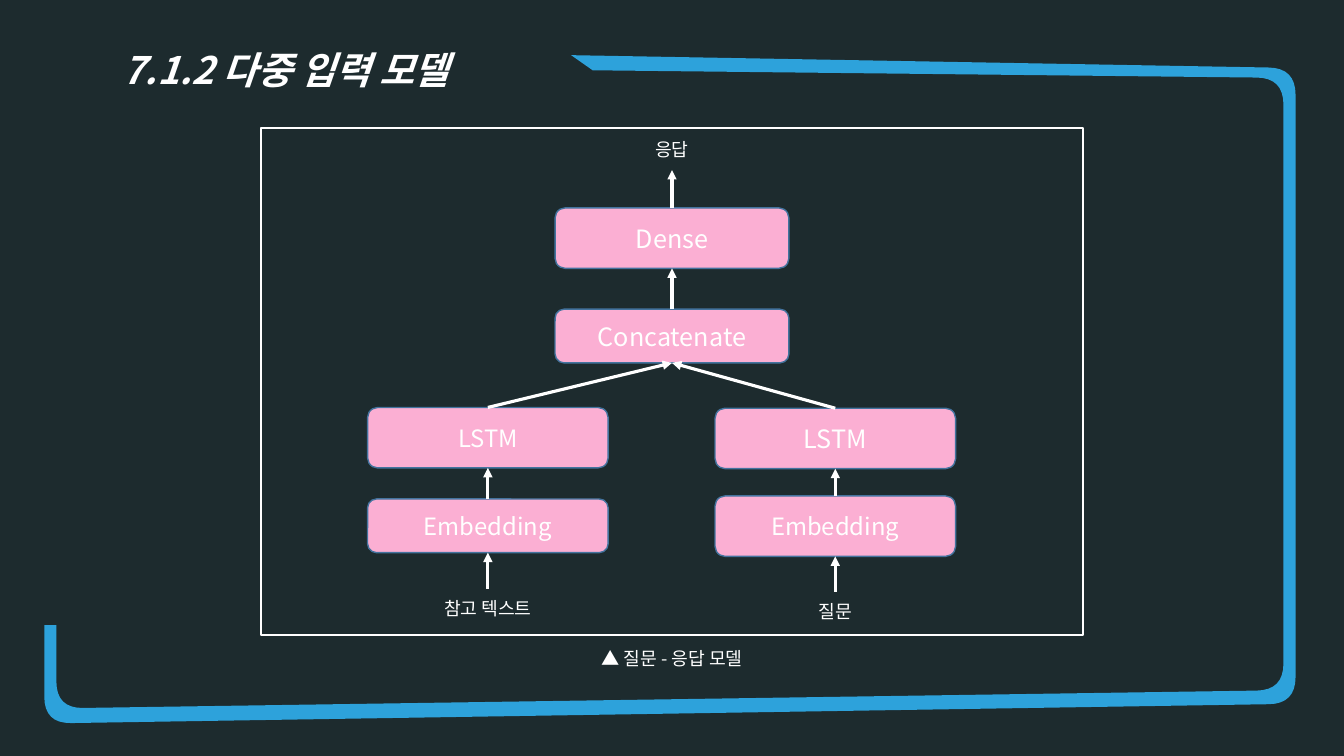
from pptx import Presentation, util as u
from pptx.dml.color import RGBColor
from pptx.enum import shapes, text
from pptx.oxml import parse_xml
from pptx.oxml.ns import nsdecls, qn

THEME = {
    "font": "Noto Sans CJK KR",
    "background": RGBColor.from_string("1D2B2E"),
    "border": RGBColor.from_string("2DA2DB"),
    "layer": RGBColor.from_string("FBAFD3"),
    "layer_line": RGBColor.from_string("43739E"),
    "white": RGBColor.from_string("FFFFFF"),
    "title": 27, "layer_large": 18, "layer_small": 17, "label": 13,
}

deck = Presentation()
deck.slide_width, deck.slide_height = u.Inches(13.33), u.Inches(7.5)
COL, ROW = deck.slide_width / 100, deck.slide_height / 100
slide = deck.slides.add_slide(deck.slide_layouts[6])
slide.background.fill.solid()
slide.background.fill.fore_color.rgb = THEME["background"]


def area(center, top, width, height):
    """Turn a centred block of grid cells into left, top, width, height."""
    return (round((center - width / 2) * COL), round(top * ROW),
            round(width * COL), round(height * ROW))


def write(shape, words, size):
    """Fill a shape with one centred white line and return its paragraph and run."""
    shape.text_frame.word_wrap = True
    paragraph = shape.text_frame.paragraphs[0]
    paragraph.alignment = text.PP_ALIGN.CENTER
    run = paragraph.add_run()
    run.text = words
    run.font.size = u.Pt(THEME[size])
    run.font.name = THEME["font"]
    run.font.color.rgb = THEME["white"]
    run_props = run.font._element
    run_props.append(parse_xml(
        f'<a:ea {nsdecls("a")} typeface="{THEME["font"]}"/>'))
    return paragraph, run


# Blue border: corner column, corner row, rounding in columns
border_corners = [
    (42.5, 7.3, 0), (96.4, 9, 2), (96.4, 93.1, 2), (3.3, 95.7, 2),
    (3.3, 82.7, 0), (4.2, 82.7, 0), (4.2, 93.7, 2), (95.5, 91.3, 2),
    (95.5, 10.3, 2), (44.1, 9.3, 0),
]
outline = []
for i, (col, row, rounding) in enumerate(border_corners):
    x, y = col * COL, row * ROW
    if not rounding:
        outline.append((x, y))
        continue
    ends = []
    for near in (border_corners[i - 1], border_corners[(i + 1) % len(border_corners)]):
        dx, dy = near[0] * COL - x, near[1] * ROW - y
        share = rounding * COL / (dx * dx + dy * dy) ** 0.5
        ends.append((x + dx * share, y + dy * share))
    for step in range(9):
        t = step / 8
        outline.append(tuple(
            (1 - t) ** 2 * a + 2 * t * (1 - t) * b + t * t * c
            for a, b, c in zip(ends[0], (x, y), ends[1])))
builder = slide.shapes.build_freeform(*(round(v) for v in outline[0]))
builder.add_line_segments([(round(x), round(y)) for x, y in outline[1:]], close=True)
border = builder.convert_to_shape()
border.shadow.inherit = False
border.fill.solid()
border.fill.fore_color.rgb = THEME["border"]
border.line.fill.background()

title = slide.shapes.add_textbox(*area(21.25, 2.5, 41.6, 9.2))
heading, heading_run = write(title, "7.1.2 다중 입력 모델", "title")
heading.line_spacing = 1.5
heading_run.font.bold = heading_run.font.italic = True

diagram_frame = slide.shapes.add_shape(
    shapes.MSO_SHAPE.RECTANGLE, *area(50, 16.93, 61.14, 67.07))
diagram_frame.shadow.inherit = False
diagram_frame.fill.background()
diagram_frame.line.color.rgb = THEME["white"]
diagram_frame.line.width = u.Pt(1.5)

# Layers: key, words, centre column, top row, width, height, type size
LEFT, MIDDLE, RIGHT = 36.3, 50, 62.15
layers = {}
for key, words, center, top, width, height, size in [
    ("dense", "Dense", MIDDLE, 27.5, 17.4, 8, "layer_large"),
    ("concatenate", "Concatenate", MIDDLE, 40.9, 17.4, 7.1, "layer_large"),
    ("text_lstm", "LSTM", LEFT, 53.9, 17.9, 8, "layer_small"),
    ("question_lstm", "LSTM", RIGHT, 54, 17.9, 8, "layer_large"),
    ("text_embedding", "Embedding", LEFT, 66, 17.9, 7.1, "layer_small"),
    ("question_embedding", "Embedding", RIGHT, 65.6, 17.9, 8, "layer_small"),
]:
    layer = slide.shapes.add_shape(
        shapes.MSO_SHAPE.ROUNDED_RECTANGLE, *area(center, top, width, height))
    layer.shadow.inherit = False
    layer.fill.solid()
    layer.fill.fore_color.rgb = THEME["layer"]
    layer.line.color.rgb = THEME["layer_line"]
    layer.line.width = u.Pt(1)
    layer.text_frame.vertical_anchor = text.MSO_ANCHOR.MIDDLE
    write(layer, words, size)
    layers[key] = layer

for words, center, top, width in [
    ("응답", MIDDLE, 17.7, 11.6),
    ("참고 텍스트", LEFT, 78.3, 11.6),
    ("질문", RIGHT, 78.8, 11.6),
    ("▲ 질문 - 응답 모델", MIDDLE, 84.9, 15.7),
]:
    label = slide.shapes.add_textbox(*area(center, top, width, 4.3))
    write(label, words, "label")

# Arrows run upwards; a number is the row of a free end
for source, target, center in [
    (77.9, "text_embedding", LEFT),
    (78.3, "question_embedding", RIGHT),
    ("text_embedding", "text_lstm", LEFT),
    ("question_embedding", "question_lstm", RIGHT),
    ("text_lstm", "concatenate", LEFT),
    ("question_lstm", "concatenate", RIGHT),
    ("concatenate", "dense", MIDDLE),
    ("dense", 22.5, MIDDLE),
]:
    x = round(center * COL)
    start = 0 if source in layers else round(source * ROW)
    end = 0 if target in layers else round(target * ROW)
    arrow = slide.shapes.add_connector(shapes.MSO_CONNECTOR.STRAIGHT, x, start, x, end)
    if source in layers:
        arrow.begin_connect(layers[source], 0)
    if target in layers:
        arrow.end_connect(layers[target], 2)
    arrow.line.color.rgb = THEME["white"]
    arrow.line.width = u.Pt(2.25)
    arrow_props = arrow._element.spPr
    arrow_props.find(qn("a:ln")).append(
        parse_xml(f'<a:tailEnd {nsdecls("a")} type="triangle"/>'))
    arrow_props.append(parse_xml(f'<a:effectLst {nsdecls("a")}/>'))

deck.save("out.pptx")
